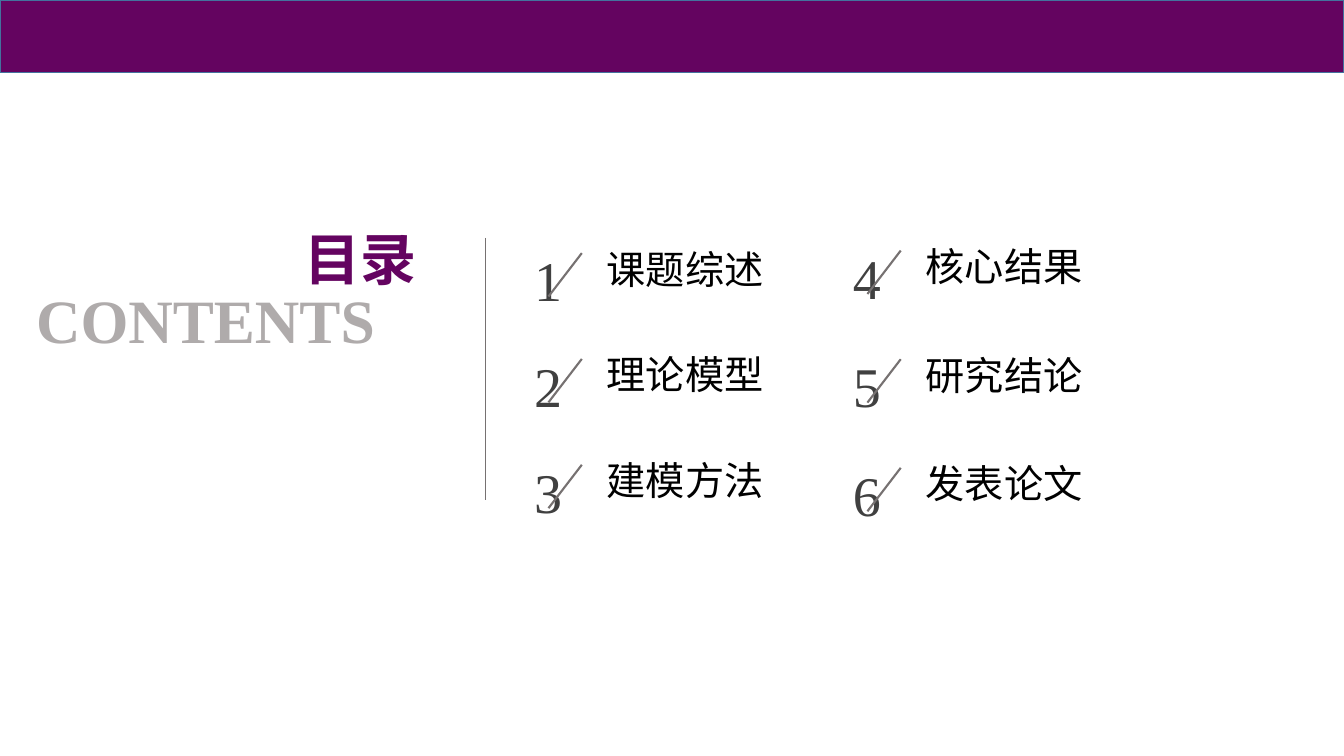
import pptx
import pptx.util
import pptx.dml.color
import pptx.enum.shapes
import pptx.enum.text
import pptx.oxml.xmlchemy
import lxml.etree

Pt = pptx.util.Pt
FONT = "Times New Roman"
PURPLE = "640460"
GREY = "767171"


def color(value):
    return pptx.dml.color.RGBColor.from_string(value)


def write_text(text, left, top, width, height, size, fill, bold=False, shape=None):
    if shape is None:
        shape = slide.shapes.add_textbox(0, 0, 0, 0)
    shape.left, shape.top, shape.width, shape.height = Pt(left), Pt(top), Pt(width), Pt(height)
    frame = shape.text_frame
    frame.text = text
    frame.word_wrap = False
    frame.auto_size = pptx.enum.text.MSO_AUTO_SIZE.SHAPE_TO_FIT_TEXT
    frame.vertical_anchor = pptx.enum.text.MSO_ANCHOR.TOP
    paragraph = frame.paragraphs[0]
    paragraph.alignment = pptx.enum.text.PP_ALIGN.LEFT
    font = paragraph.runs[0].font
    font.name = FONT
    font.size = Pt(size)
    font.bold = bold
    font.color.rgb = color(fill)


presentation = pptx.Presentation()
presentation.slide_width = Pt(960)
presentation.slide_height = Pt(540)
slide = presentation.slides.add_slide(presentation.slide_layouts[5])

banner = slide.shapes.add_shape(
    pptx.enum.shapes.MSO_SHAPE.RECTANGLE, Pt(0), Pt(0), Pt(960), Pt(51.8)
)
banner.shadow.inherit = False
banner.fill.solid()
banner.fill.fore_color.rgb = color(PURPLE)
banner.line.color.rgb = color("43739E")
banner.line.width = Pt(1)

write_text("目录", 210.2, 157, 98, 55.7, 40, PURPLE, bold=True, shape=slide.shapes.title)
write_text("CONTENTS", 18.7, 198, 263.5, 60.5, 44, "AFABAB", bold=True)

lines = [(347, 170, 347, 357, 0.5)]
columns = [
    (374.4, 172, 75.6, ["课题综述", "理论模型", "建模方法"]),
    (602.2, 170.2, 77.6, ["核心结果", "研究结论", "发表论文"]),
]
number = 0
for left, first_top, pitch, topics in columns:
    for row, topic in enumerate(topics):
        number += 1
        top = first_top + row * pitch
        write_text(str(number), left, top, 34.6, 55.7, 40, "404040")
        write_text(topic, left + 52, top - 0.6, 127.4, 41.2, 28, "000000")
        lines.append((left + 41.2, top + 8.8, left + 17.4, top + 39.8, 1.5))

for start_x, start_y, end_x, end_y, weight in lines:
    connector = slide.shapes.add_connector(
        pptx.enum.shapes.MSO_CONNECTOR.STRAIGHT, Pt(start_x), Pt(start_y), Pt(end_x), Pt(end_y)
    )
    connector.line.color.rgb = color(GREY)
    connector.line.width = Pt(weight)
    lxml.etree.SubElement(
        connector._element.spPr, "{http://schemas.openxmlformats.org/drawingml/2006/main}effectLst"
    )

presentation.save("out.pptx")
